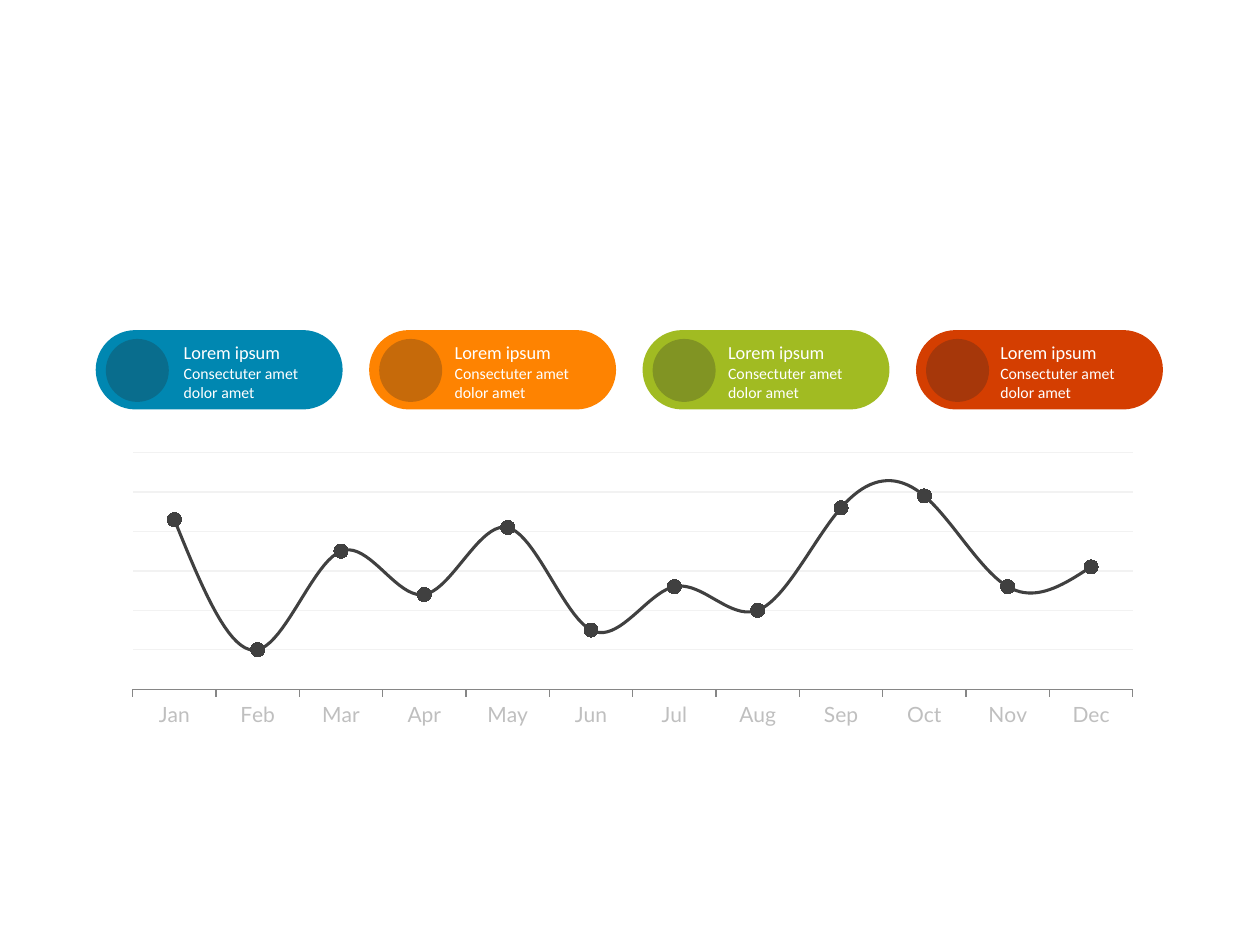
from lxml import etree
from pptx import Presentation
from pptx.chart.data import CategoryChartData as Data
from pptx.dml.color import RGBColor
from pptx.enum.chart import XL_CHART_TYPE as Kind, XL_MARKER_STYLE as Mark
from pptx.enum.chart import XL_TICK_LABEL_POSITION as Label, XL_TICK_MARK as Tick
from pptx.enum.shapes import MSO_SHAPE as Geo
from pptx.oxml import parse_xml
from pptx.oxml.ns import qn
from pptx.util import Inches, Pt

DARK, GREY = "404040", "BFBFBF"
TITLE, BODY = "Lorem ipsum", "Consectuter amet dolor amet"
# Each pill: colour, left of its text, month it marks
PILLS = [
    ("0087B1", 1.36, "Mar"),
    ("FE8301", 3.51, "Jun"),
    ("A1BB22", 5.68, "Sep"),
    ("D43E01", 7.84, "Dec"),
]
LEFT, STEP = 0.76, 2.17
MONTHS = {
    "Jan": 4.3, "Feb": 1, "Mar": 3.5, "Apr": 2.4, "May": 4.1, "Jun": 1.5,
    "Jul": 2.6, "Aug": 2, "Sep": 4.6, "Oct": 4.9, "Nov": 2.6, "Dec": 3.1,
}
PLOT = {"x": 0.083, "y": 0.186, "w": 0.899, "h": 0.696}


def rgb(text):
    """Turn a hex string into a colour."""
    return RGBColor.from_string(text)


def put(item, values):
    """Set attributes from a dict."""
    for name, value in values.items():
        setattr(item, name, value)


def paint(form, color):
    """Give a format a solid fill."""
    form.fill.solid()
    form.fill.fore_color.rgb = rgb(color)


def stroke(line, color, width):
    """Set the colour and width of a line."""
    line.color.rgb = rgb(color)
    line.width = Pt(width)


def add_form(kind, box, color):
    """Add a filled shape without outline or shadow."""
    form = slide.shapes.add_shape(kind, *map(Inches, box))
    form.shadow.inherit = False
    paint(form, color)
    form.line.fill.background()
    return form


def add_pill(left, text_left, color):
    """Add a pill with its disc and two lines of text."""
    pill = add_form(Geo.ROUNDED_RECTANGLE, (left, 2.62, 1.96, 0.63), color)
    pill.adjustments[0] = 0.5
    disc = add_form(Geo.OVAL, (left + 0.08, 2.69, 0.5, 0.5), "262626")
    tone = next(disc.fill._xPr.iter(qn("a:srgbClr")))
    etree.SubElement(tone, qn("a:alpha"), val="26000")
    box = slide.shapes.add_textbox(*map(Inches, (text_left, 2.66, 1.18, 0.58)))
    frame = box.text_frame
    frame.word_wrap = True
    frame.text = f"{TITLE}\n{BODY}"
    for para, size in zip(frame.paragraphs, (10.5, 9)):
        font = para.runs[0].font
        put(font, {"size": Pt(size), "name": "Calibri"})
        font.color.rgb = rgb("FFFFFF")


def set_plot(chart):
    """Fix the inner plot area by fractions of the chart."""
    area = chart._chartSpace.chart.plotArea
    for old in area.findall(qn("c:layout")):
        area.remove(old)
    modes = "".join(f'<c:{k}Mode val="edge"/>' for k in "xy")
    sizes = "".join(f'<c:{k} val="{v}"/>' for k, v in PLOT.items())
    area.insert(0, parse_xml(
        '<c:layout xmlns:c="http://schemas.openxmlformats.org/drawingml/2006/chart">'
        f'<c:manualLayout><c:layoutTarget val="inner"/>{modes}{sizes}'
        '</c:manualLayout></c:layout>'))


def add_line():
    """Add the smooth month line with coloured marks."""
    data = Data()
    data.categories = list(MONTHS)
    data.add_series("Series 1", list(MONTHS.values()))
    box = map(Inches, (0.32, 3.09, 8.83, 2.7))
    chart = slide.shapes.add_chart(Kind.LINE_MARKERS_STACKED, *box, data).chart
    put(chart, {"has_legend": False, "has_title": False})
    put(chart.font, {"name": "Lato", "size": Pt(12)})
    chart.plots[0].vary_by_categories = False
    set_plot(chart)

    cat, val = chart.category_axis, chart.value_axis
    put(cat, {"major_tick_mark": Tick.OUTSIDE, "has_major_gridlines": False})
    put(cat.tick_labels.font, {"name": "Lato", "size": Pt(12)})
    cat.tick_labels.font.color.rgb = rgb(GREY)
    stroke(cat.format.line, "868686", 0.75)
    put(val, {"minimum_scale": 0, "maximum_scale": 6, "major_unit": 1,
              "has_major_gridlines": True, "major_tick_mark": Tick.NONE,
              "tick_label_position": Label.NONE, "visible": False})
    stroke(val.major_gridlines.format.line, "F2F2F2", 0.75)

    series = chart.series[0]
    series.smooth = True
    stroke(series.format.line, DARK, 1.75)
    months = list(MONTHS)
    marks = [(series.marker, DARK)]
    marks += [(series.points[months.index(m)].marker, c) for c, _, m in PILLS]
    for mark, color in marks:
        put(mark, {"style": Mark.CIRCLE, "size": 8})
        paint(mark.format, color)
        mark.format.line.fill.background()


deck = Presentation()
put(deck, {"slide_width": Inches(10), "slide_height": Inches(7.5)})
slide = deck.slides.add_slide(deck.slide_layouts[6])
add_line()
for i, (color, text_left, _) in enumerate(PILLS):
    add_pill(LEFT + i * STEP, text_left, color)
deck.save("out.pptx")
